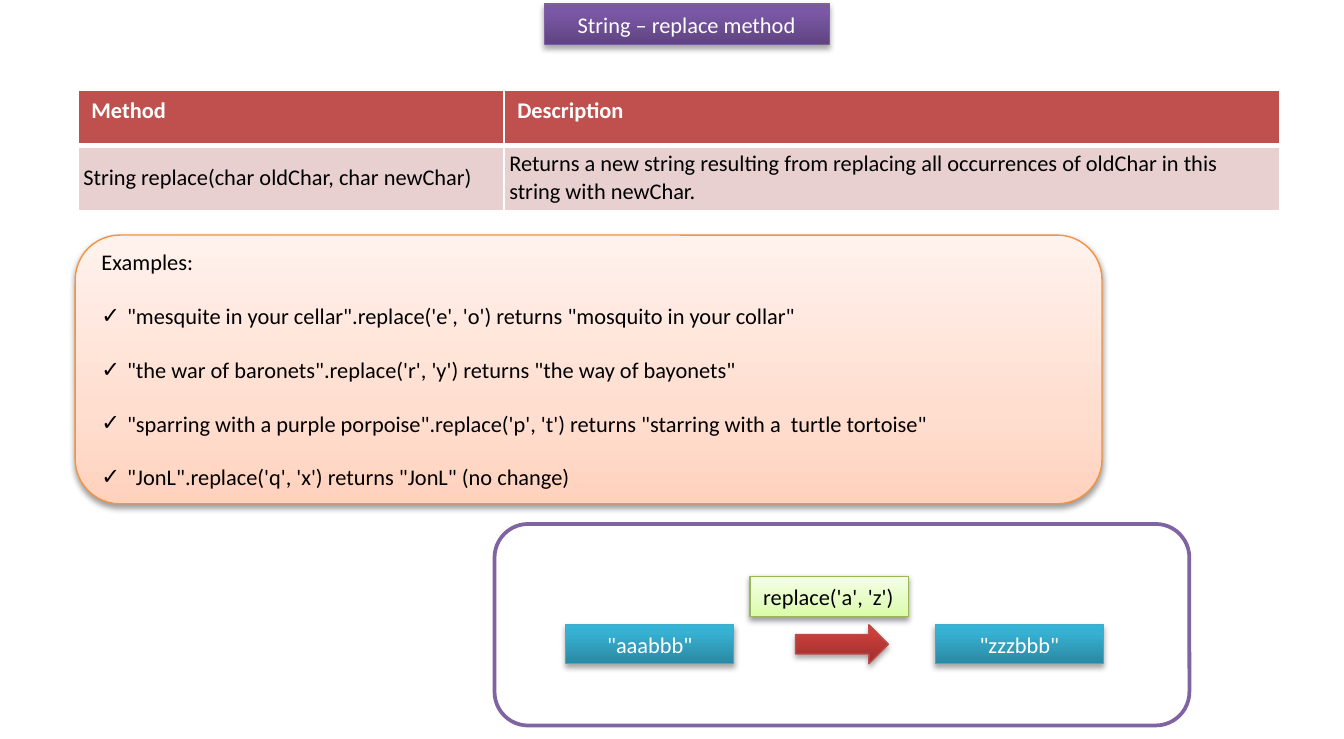
from lxml import etree
from pptx import Presentation
from pptx.dml.color import RGBColor
from pptx.enum import shapes, text
from pptx.oxml.ns import qn
from pptx.util import Inches, Pt

TITLE = "String – replace method"
TABLE = [
    ("Method", "Description"),
    ("String replace(char oldChar, char newChar)",
     "Returns a new string resulting from replacing all occurrences of "
     "oldChar in this string with newChar."),
]
COLUMN_WIDTHS, ROW_HEIGHTS = (3.17, 5.77), (0.41, 0.48)
EXAMPLES = [
    "\"mesquite in your cellar\".replace('e', 'o') returns \"mosquito in your collar\"",
    "\"the war of baronets\".replace('r', 'y') returns \"the way of bayonets\"",
    "\"sparring with a purple porpoise\".replace('p', 't') returns \"starring with a  turtle tortoise\"",
    "\"JonL\".replace('q', 'x') returns \"JonL\" (no change)",
]
FONT = "Calibri"
WHITE, BLACK = "FFFFFF", "000000"

# Each style: gradient stops from bottom to top, line colour, shadow
DEEP_SHADOW = {"alpha": 35, "distance": 1.8}
LIGHT_SHADOW = {"alpha": 38, "distance": 1.6}
PURPLE = ([(0, "5F4480"), (80, "7B58A6"), (100, "7C57A8")], "7D60A0", DEEP_SHADOW)
TEAL = ([(0, "2A88A2"), (80, "37B1D2"), (100, "34B4D6")], "46AAC5", DEEP_SHADOW)
RED = ([(0, "9C2F2D"), (80, "CB3E3A"), (100, "CE3B37")], "BF4C48", DEEP_SHADOW)
GREEN = ([(0, "DAFDA7"), (35, "E4FCC2"), (100, "F5FFE7")], "98B955", LIGHT_SHADOW)
ORANGE = ([(0, "FFD2BD"), (35, "FFDED0"), (100, "FFF2ED")], "F69240", LIGHT_SHADOW)


def rgb(value):
    return RGBColor.from_string(value)


def add_xml(parent, tag, **attributes):
    child = etree.SubElement(parent, qn(tag))
    for name, value in attributes.items():
        child.set(name, str(value))
    return child


def add_box(kind, left, top, width, height):
    box = page.shapes.add_shape(kind, *map(Inches, (left, top, width, height)))
    box.shadow.inherit = False
    return box


def set_line(box, color, width):
    box.line.color.rgb = rgb(color)
    box.line.width = Pt(width)


def decorate(box, style):
    """Give a shape its vertical gradient, outline and drop shadow."""
    stops, line, shadow = style
    box.fill.gradient()
    box.fill.gradient_angle = 90
    properties = box._element.spPr
    stop_list = properties.find(qn("a:gradFill")).find(qn("a:gsLst"))
    for stop in list(stop_list):
        stop_list.remove(stop)
    for position, color in stops:
        stop = add_xml(stop_list, "a:gs", pos=position * 1000)
        add_xml(stop, "a:srgbClr", val=color)
    set_line(box, line, 0.75)
    box.shadow.inherit = False
    outer = add_xml(properties.find(qn("a:effectLst")), "a:outerShdw",
                    blurRad=Pt(3.1), dist=Pt(shadow["distance"]),
                    dir=90 * 60000, rotWithShape=0)
    color = add_xml(outer, "a:srgbClr", val=BLACK)
    add_xml(color, "a:alpha", val=shadow["alpha"] * 1000)


def write(para, words, color, align=text.PP_ALIGN.LEFT, bold=False):
    para.alignment = align
    span = para.add_run()
    span.text = words
    for name, value in {"name": FONT, "size": Pt(12), "bold": bold}.items():
        setattr(span.font, name, value)
    span.font.color.rgb = rgb(color)


def format_frame(box, anchor, wrap=True):
    frame = box.text_frame
    frame.word_wrap = wrap
    frame.vertical_anchor = anchor
    frame.auto_size = text.MSO_AUTO_SIZE.NONE
    return frame


def add_table():
    table = page.shapes.add_table(
        len(TABLE), len(COLUMN_WIDTHS), Inches(0.58), Inches(0.67),
        Inches(sum(COLUMN_WIDTHS)), Inches(sum(ROW_HEIGHTS))).table
    for column, width in zip(table.columns, COLUMN_WIDTHS):
        column.width = Inches(width)
    for r, row in enumerate(TABLE):
        table.rows[r].height = Inches(ROW_HEIGHTS[r])
        header = r == 0
        borders = {"L": 1, "R": 1, "T": 1 if header else 3, "B": 3 if header else 1}
        for c, words in enumerate(row):
            cell = table.cell(r, c)
            if not header:
                cell.vertical_anchor = text.MSO_ANCHOR.MIDDLE
                for side in ("left", "top", "right", "bottom"):
                    setattr(cell, f"margin_{side}", Inches(0.04))
            properties = cell._tc.get_or_add_tcPr()
            for side, width in borders.items():
                line = add_xml(properties, f"a:ln{side}", w=Pt(width))
                add_xml(add_xml(line, "a:solidFill"), "a:srgbClr", val=WHITE)
            cell.fill.solid()
            cell.fill.fore_color.rgb = rgb("C0504D" if header else "E8D0D0")
            write(cell.text_frame.paragraphs[0], words,
                  WHITE if header else BLACK, bold=header)


def add_examples():
    box = add_box(KIND.ROUNDED_RECTANGLE, 0.56, 1.75, 7.64, 2)
    decorate(box, ORANGE)
    frame = format_frame(box, text.MSO_ANCHOR.MIDDLE)
    write(frame.paragraphs[0], "Examples:", BLACK)
    for example in EXAMPLES:
        para = frame.add_paragraph()
        para.space_before = Pt(14.4)
        properties = para._p.get_or_add_pPr()
        properties.set("marL", str(Inches(0.19)))
        properties.set("indent", str(-Inches(0.19)))
        add_xml(properties, "a:buFont", typeface=FONT)
        add_xml(properties, "a:buChar", char="✓")
        write(para, example, BLACK)


KIND = shapes.MSO_SHAPE
deck = Presentation()
deck.slide_width, deck.slide_height = Inches(10), Inches(5.5)
page = deck.slides.add_slide(deck.slide_layouts[5])

title = page.shapes.title
title.left, title.top, title.width, title.height = map(Inches, (4.05, 0.03, 2.12, 0.3))
decorate(title, PURPLE)
title_frame = format_frame(title, text.MSO_ANCHOR.TOP)
write(title_frame.paragraphs[0], TITLE, WHITE, text.PP_ALIGN.CENTER)

diagram = add_box(KIND.ROUNDED_RECTANGLE, 3.68, 3.9, 5.17, 1.5)
diagram.fill.solid()
diagram.fill.fore_color.rgb = rgb(WHITE)
set_line(diagram, "8064A2", 2)

add_table()

for left, words in ((4.21, '"aaabbb"'), (6.96, '"zzzbbb"')):
    value = add_box(KIND.RECTANGLE, left, 4.65, 1.25, 0.29)
    decorate(value, TEAL)
    value_frame = format_frame(value, text.MSO_ANCHOR.MIDDLE)
    write(value_frame.paragraphs[0], words, WHITE, text.PP_ALIGN.CENTER)

decorate(add_box(KIND.RIGHT_ARROW, 5.92, 4.65, 0.69, 0.29), RED)

call = add_box(KIND.RECTANGLE, 5.58, 4.29, 1.18, 0.3)
decorate(call, GREEN)
call_frame = format_frame(call, text.MSO_ANCHOR.TOP, wrap=False)
write(call_frame.paragraphs[0], "replace('a', 'z')", BLACK)

add_examples()

deck.save("out.pptx")
